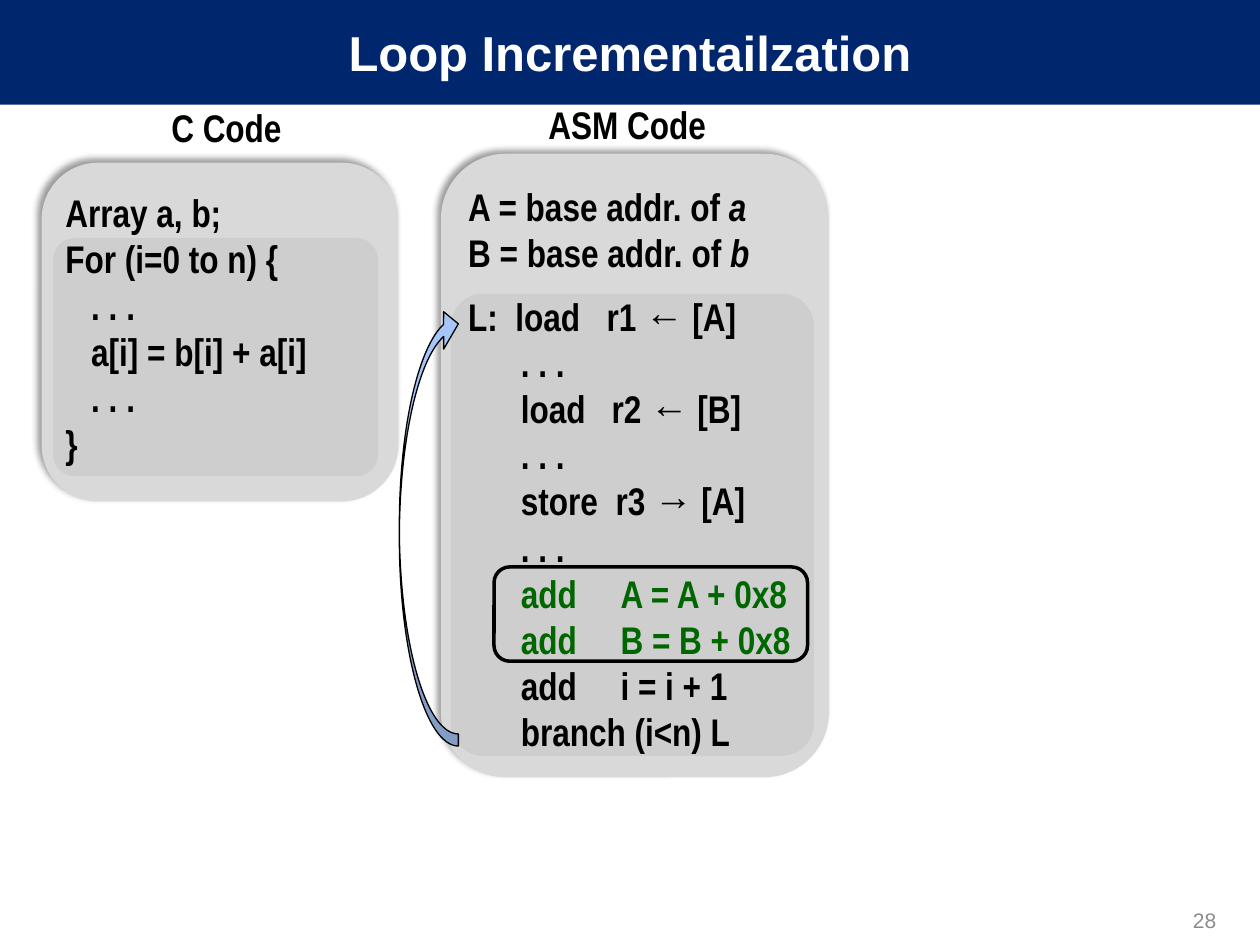
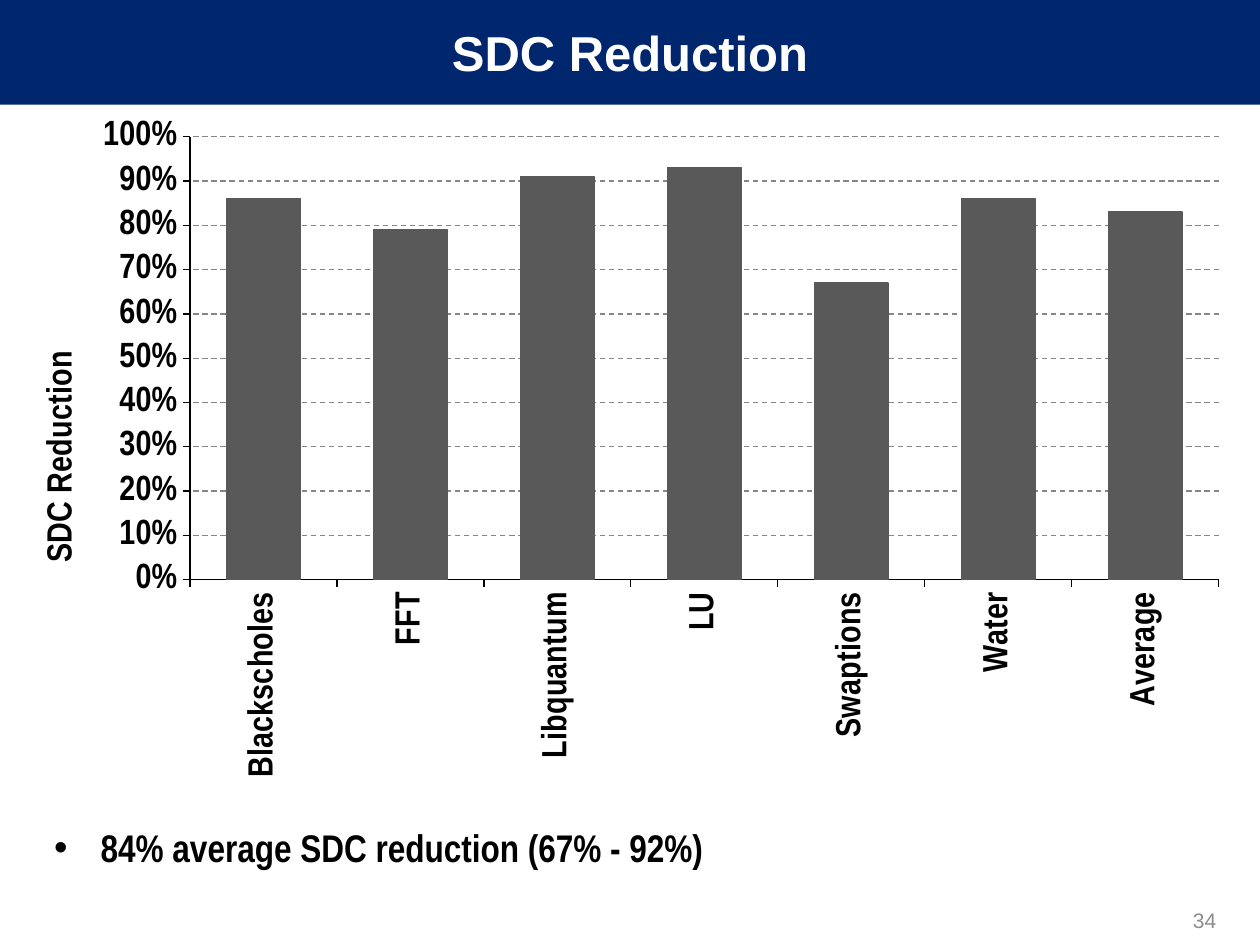
from collections import namedtuple

from lxml import etree
from pptx import Presentation
from pptx.chart.data import CategoryChartData
from pptx.dml.color import RGBColor
from pptx.enum.chart import XL_CHART_TYPE, XL_TICK_MARK
from pptx.enum.dml import MSO_LINE
from pptx.enum.shapes import MSO_SHAPE
from pptx.enum.text import MSO_ANCHOR, PP_ALIGN
from pptx.oxml.ns import qn
from pptx.util import Cm, Pt

NAVY = RGBColor(0x00, 0x26, 0x6E)
WHITE = RGBColor(0xFF, 0xFF, 0xFF)
BLACK = RGBColor(0x00, 0x00, 0x00)
PANEL_GREY = RGBColor(0xD9, 0xD9, 0xD9)
LOOP_GREY = RGBColor(0xBF, 0xBF, 0xBF)
NUMBER_GREY = RGBColor(0x8C, 0x8C, 0x8C)
GRID_GREY = RGBColor(0x86, 0x86, 0x86)
BAR_GREY = RGBColor(0x59, 0x59, 0x59)
GREEN = RGBColor(0x00, 0x66, 0x00)
ARROW_BLUE = RGBColor(0xA6, 0xC5, 0xF8)

RECT = MSO_SHAPE.RECTANGLE
ROUND_RECT = MSO_SHAPE.ROUNDED_RECTANGLE
CURVED_ARROW = MSO_SHAPE.CURVED_LEFT_ARROW
LEFT, CENTER, RIGHT = PP_ALIGN.LEFT, PP_ALIGN.CENTER, PP_ALIGN.RIGHT
TOP, MIDDLE = MSO_ANCHOR.TOP, MSO_ANCHOR.MIDDLE
STACKED = XL_CHART_TYPE.COLUMN_STACKED
TICK_OUT = XL_TICK_MARK.OUTSIDE
DASH = MSO_LINE.DASH

HEAD_FONT, BODY_FONT = "Arial", "Arial Narrow"
BODY_SIZE = 22
SLIDE_W, SLIDE_H, BAND_H = 25.4, 19.05, 2.11

Line = namedtuple("Line", "text tabs italic color before",
                  defaults=((), "", BLACK, 0))

C_LINES = [
    Line("Array a, b;"),
    Line("For (i=0 to n) {"),
    Line("\t. . .", (0.52,)),
    Line("\ta[i] = b[i] + a[i]", (0.52,)),
    Line("\t. . .", (0.52,)),
    Line("}"),
]
OP = 1.06
ASM_LINES = [
    Line("A = base addr. of ", italic="a"),
    Line("B = base addr. of ", italic="b"),
    Line("L:\tload\tr1 ← [A]", (0.95, 2.79), before=10),
    Line("\t. . .", (OP,)),
    Line("\tload\tr2 ← [B]", (OP, 2.89)),
    Line("\t. . .", (OP,)),
    Line("\tstore\tr3 → [A]", (OP, 2.97)),
    Line("\t. . .", (OP,)),
    Line("\tadd\tA = A + 0x8", (OP, 3.07), color=GREEN),
    Line("\tadd\tB = B + 0x8", (OP, 3.07), color=GREEN),
    Line("\tadd\ti = i + 1", (OP, 3.07)),
    Line("\tbranch (i<n) L", (OP,)),
]
BENCHMARKS = ["Blackscholes", "FFT", "Libquantum", "LU", "Swaptions",
              "Water", "Average"]
SERIES = {
    "Series 1": (0.22, 0.54, 0.91, 0.93, 0.05, 0.43, 0.51),
    "Series 2": (0.64, 0.25, 0, 0, 0.62, 0.43, 0.32),
}


def add_block(s, kind, box, fill=None, line=None, width=0.75, adj=(), alpha=None):
    """Add a flat preset shape in a box given in centimetres."""
    sp = s.shapes.add_shape(kind, *map(Cm, box))
    sp.shadow.inherit = False
    for i, value in enumerate(adj):
        sp.adjustments[i] = value
    if fill is None:
        sp.fill.background()
    else:
        sp.fill.solid()
        sp.fill.fore_color.rgb = fill
    if alpha:
        color = sp.fill._xPr.find(".//" + qn("a:srgbClr"))
        etree.SubElement(color, qn("a:alpha"), val=str(alpha * 1000))
    if line is None:
        sp.line.fill.background()
    else:
        sp.line.color.rgb = line
        sp.line.width = Pt(width)
    return sp


def add_shadow(sp):
    """Give a shape a soft shadow towards its upper left."""
    effects = sp._element.spPr.find(qn("a:effectLst"))
    shadow = etree.SubElement(effects, qn("a:outerShdw"), blurRad=str(Pt(4)),
                              dist=str(Pt(3)), dir=str(225 * 60000),
                              algn="br", rotWithShape="0")
    color = etree.SubElement(shadow, qn("a:srgbClr"), val=str(BLACK))
    etree.SubElement(color, qn("a:alpha"), val="40000")


def add_run(p, text, size=BODY_SIZE, color=BLACK, font=BODY_FONT, bold=True,
            italic=False):
    """Append a formatted run to a paragraph."""
    r = p.add_run()
    r.text = text
    r.font.name, r.font.size = font, Pt(size)
    r.font.bold, r.font.italic = bold, italic
    r.font.color.rgb = color


def add_text_frame(s, box, anchor=TOP):
    """Add an empty wrapping text box and return its frame."""
    tf = s.shapes.add_textbox(*map(Cm, box)).text_frame
    tf.word_wrap = True
    tf.vertical_anchor = anchor
    return tf


def add_label(s, box, text, align=LEFT, anchor=TOP, **style):
    """Add a one-paragraph text box and return the paragraph."""
    p = add_text_frame(s, box, anchor).paragraphs[0]
    p.alignment = align
    add_run(p, text, **style)
    return p


def new_slide(prs, title, number):
    """Add a slide with the title band and the page number."""
    s = prs.slides.add_slide(prs.slide_layouts[6])
    band = (0, 0, SLIDE_W, BAND_H)
    add_block(s, RECT, band, NAVY)
    add_label(s, band, title, CENTER, MIDDLE, size=28, color=WHITE, font=HEAD_FONT)
    add_label(s, (18.85, 18.03, 5.92, 1.02), str(number), RIGHT, MIDDLE,
              size=12, color=NUMBER_GREY, font=HEAD_FONT, bold=False)
    return s


def add_code_lines(s, box, lines):
    """Write code lines, aligning their columns with tab stops."""
    tf = add_text_frame(s, box)
    tf.margin_right = 0
    for i, line in enumerate(lines):
        p = tf.add_paragraph() if i else tf.paragraphs[0]
        p.space_before = Pt(line.before)
        if line.tabs:
            stops = etree.SubElement(p._p.get_or_add_pPr(), qn("a:tabLst"))
            for pos in line.tabs:
                etree.SubElement(stops, qn("a:tab"), pos=str(Cm(pos)), algn="l")
        add_run(p, line.text, color=line.color)
        if line.italic:
            add_run(p, line.italic, color=line.color, italic=True)


def add_code_panel(s, box, heading, heading_box, loop_box, code_box, lines):
    """Draw a code panel whose inner boxes are relative to its corner."""
    def inside(part):
        return (box[0] + part[0], box[1] + part[1], *part[2:])

    add_shadow(add_block(s, ROUND_RECT, box, PANEL_GREY))
    add_block(s, ROUND_RECT, inside(loop_box), LOOP_GREY, adj=(0.09,), alpha=40)
    add_code_lines(s, inside(code_box), lines)
    add_label(s, inside(heading_box), heading, CENTER)


def add_loop_marks(s, box):
    """Draw the loop-back arrow and the frame round the increments."""
    x, y = box[:2]
    arrow = add_block(s, CURVED_ARROW, (x - 0.84, y + 3.05, 1.19, 8.89),
                      ARROW_BLUE, BLACK, adj=(0.205, 0.634, 0.25))
    arrow.rotation = 180
    add_block(s, ROUND_RECT, (x + 1.07, y + 8.33, 6.32, 1.9), line=BLACK, width=2)


def set_layout(parent, index, inner=False, **fractions):
    """Place a chart part by fractions of the chart area."""
    for old in parent.findall(qn("c:layout")):
        parent.remove(old)
    layout = etree.Element(qn("c:layout"))
    parent.insert(index, layout)
    manual = etree.SubElement(layout, qn("c:manualLayout"))
    if inner:
        etree.SubElement(manual, qn("c:layoutTarget"), val="inner")
    for mode in ("xMode", "yMode"):
        etree.SubElement(manual, qn("c:" + mode), val="edge")
    for name, value in fractions.items():
        etree.SubElement(manual, qn("c:" + name), val=str(value))


def add_reduction_chart(s, box):
    """Add the stacked column chart of SDC reduction."""
    data = CategoryChartData(number_format="0%")
    data.categories = BENCHMARKS
    for name, values in SERIES.items():
        data.add_series(name, values)
    chart = s.shapes.add_chart(STACKED, *map(Cm, box), data).chart
    chart.has_title = chart.has_legend = False
    chart.font.name, chart.font.size = BODY_FONT, Pt(20)
    chart.font.bold = True
    chart.font.color.rgb = BLACK
    plot = chart.plots[0]
    plot.gap_width = plot.overlap = 100
    plot.vary_by_categories = False
    for series in plot.series:
        series.format.fill.solid()
        series.format.fill.fore_color.rgb = BAR_GREY
        series.format.line.color.rgb = BAR_GREY
        series.format.line.width = Pt(0.75)

    cat, val = chart.category_axis, chart.value_axis
    for axis in (cat, val):
        axis.major_tick_mark = TICK_OUT
        axis.format.line.color.rgb = BLACK
        axis.format.line.width = Pt(0.75)
    cat.tick_labels.font.bold = True
    cat._element.find(qn("c:txPr")).find(qn("a:bodyPr")).set("rot", "-5400000")
    val.minimum_scale, val.maximum_scale, val.major_unit = 0, 1, 0.1
    val.tick_labels.number_format = "0%"
    val.tick_labels.number_format_is_linked = False
    grid = val.major_gridlines.format.line
    grid.color.rgb = GRID_GREY
    grid.width = Pt(0.75)
    grid.dash_style = DASH

    tf = val.axis_title.text_frame
    add_run(tf.paragraphs[0], "SDC Reduction", size=20)
    tf._txBody.find(qn("a:bodyPr")).set("rot", "-5400000")
    set_layout(val.axis_title._element, 1, x=0.02, y=0.33)
    set_layout(chart._chartSpace.chart.plotArea, 0, inner=True,
               x=0.144, y=0.03, w=0.823, h=0.639)


def add_bullet(s, box, text):
    """Add a bulleted statement."""
    p = add_label(s, box, text)
    p.line_spacing = 1.2
    p.space_before = Pt(12.2)
    pPr = p._p.get_or_add_pPr()
    pPr.set("marL", str(Cm(0.94)))
    pPr.set("indent", str(Cm(-0.94)))
    etree.SubElement(pPr, qn("a:buFont"), typeface=HEAD_FONT)
    etree.SubElement(pPr, qn("a:buChar"), char="•")


def build_loop_slide(prs):
    """Build the slide that sets C code beside assembly code."""
    s = new_slide(prs, "Loop Incrementailzation", 28)
    asm_box = (8.89, 3.1, 7.82, 12.57)
    add_code_panel(s, asm_box, "ASM Code", (1.9, -1.19, 3.71, 1.19),
                   (0.2, 2.82, 7.32, 9.32), (0.3, 0.46, 7.06, 11.91), ASM_LINES)
    add_code_panel(s, (0.84, 3.28, 7.19, 6.83), "C Code", (2.34, -1.3, 2.77, 1.19),
                   (0.23, 1.52, 6.55, 4.8), (0.23, 0.41, 6.99, 5.89), C_LINES)
    add_loop_marks(s, asm_box)


def build_reduction_slide(prs):
    """Build the slide with the chart and its conclusion."""
    s = new_slide(prs, "SDC Reduction", 34)
    add_bullet(s, (0.84, 16.31, 23.93, 2.54), "84% average SDC reduction (67% - 92%)")
    add_reduction_chart(s, (0.2, 2.34, 25.2, 13.97))


def main():
    """Build and save the presentation."""
    prs = Presentation()
    prs.slide_width, prs.slide_height = Cm(SLIDE_W), Cm(SLIDE_H)
    build_loop_slide(prs)
    build_reduction_slide(prs)
    prs.save("out.pptx")


if __name__ == "__main__":
    main()
